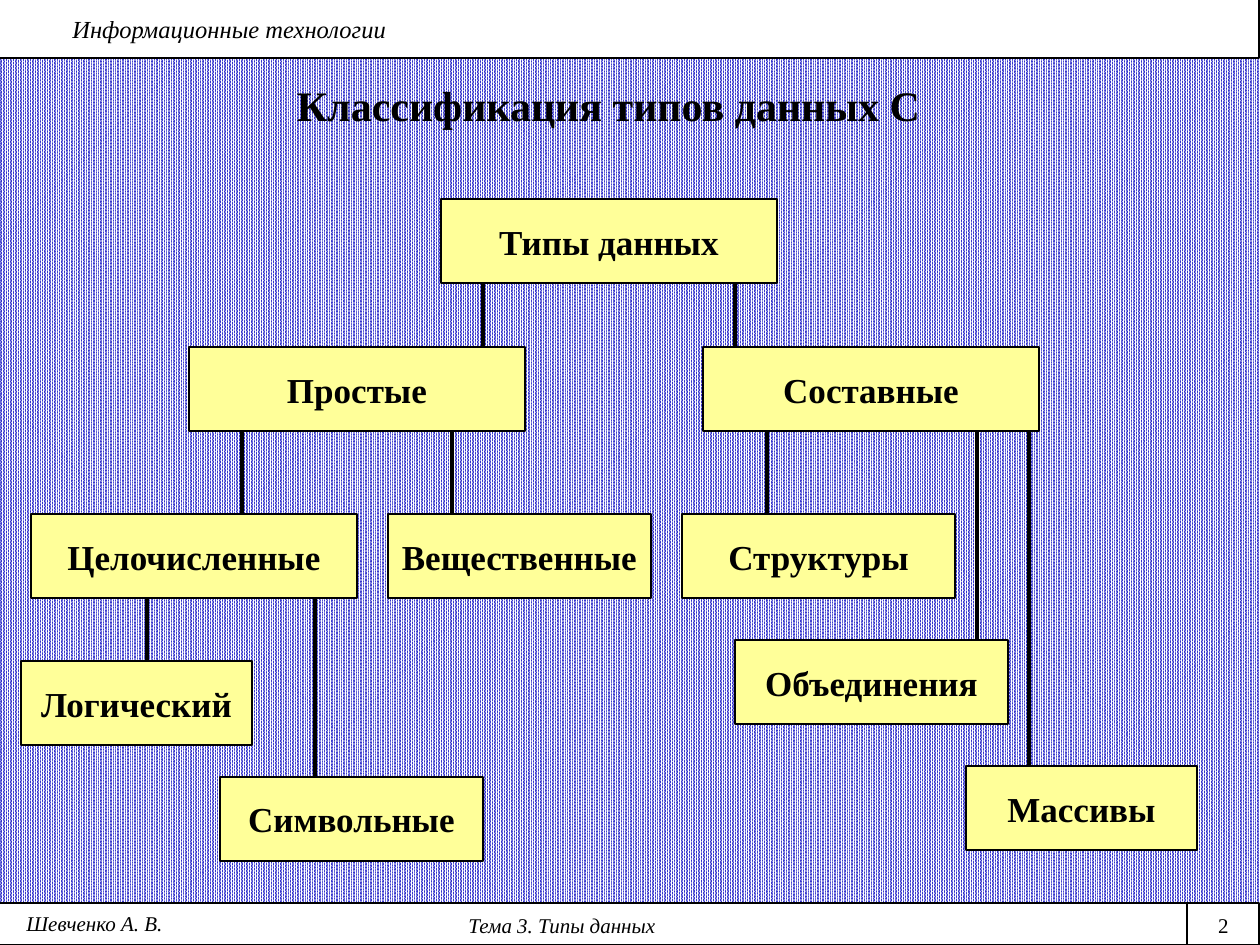
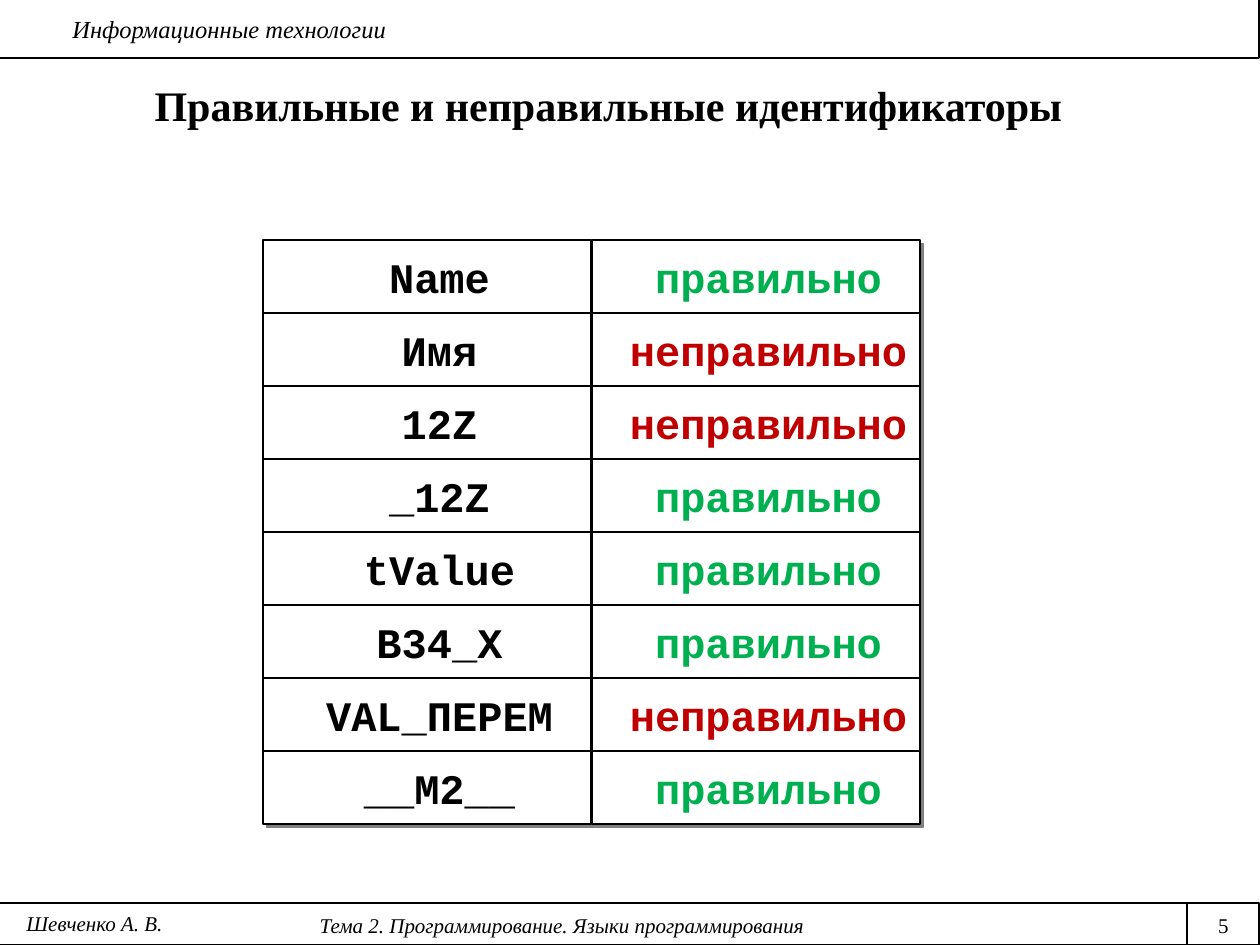
from lxml.etree import SubElement
from pptx import Presentation
from pptx.dml.color import RGBColor
from pptx.enum.dml import MSO_PATTERN
from pptx.enum.shapes import MSO_CONNECTOR as Connector, MSO_SHAPE as Shape
from pptx.enum.text import MSO_ANCHOR as Anchor, MSO_AUTO_SIZE as AutoSize, PP_ALIGN as Align
from pptx.oxml.ns import qn
from pptx.util import Emu, Pt

PX = 914400 / 126
SERIF, MONO = "Times New Roman", "Courier New"
BLACK, WHITE, YELLOW, BLUE = "000000", "FFFFFF", "FFFF99", "3333CC"
GREEN, RED, GREY = "00B050", "C00000", "808080"
BOX_HEIGHT = 84

TYPE_BOXES = {
    "Типы данных": (441, 199, 336),
    "Простые": (189, 347, 336),
    "Составные": (703, 347, 336),
    "Целочисленные": (31, 514, 326),
    "Вещественные": (388, 514, 263),
    "Структуры": (682, 514, 273),
    "Объединения": (735, 640, 273),
    "Массивы": (966, 766, 231),
    "Логический": (21, 661, 231),
    "Символьные": (220, 777, 263),
}
TYPE_LINKS = [
    ("Типы данных", "Простые", 483),
    ("Типы данных", "Составные", 735),
    ("Простые", "Целочисленные", 242),
    ("Простые", "Вещественные", 452),
    ("Составные", "Структуры", 767),
    ("Составные", "Объединения", 977),
    ("Составные", "Массивы", 1029),
    ("Целочисленные", "Логический", 147),
    ("Целочисленные", "Символьные", 315),
]
IDENTIFIERS = [
    ("Name", True), ("Имя", False), ("12Z", False), ("_12Z", True),
    ("tValue", True), ("B34_X", True), ("VAL_ПЕРЕМ", False), ("__M2__", True),
]


def px(*lengths):
    return [Emu(round(length * PX)) for length in lengths]


def color(value):
    return RGBColor.from_string(value)


def write(frame, text, size, font=SERIF, ink=BLACK, bold=False, italic=False, align=Align.CENTER):
    para = frame.paragraphs[0]
    para.alignment = align
    span = para.add_run()
    span.text = text
    span.font.name = font
    span.font.size = Pt(size)
    span.font.bold = bold
    span.font.italic = italic
    span.font.color.rgb = color(ink)


def add_label(page, area, text, size=12, italic=True, align=Align.CENTER):
    label = page.shapes.add_textbox(*px(*area))
    label.text_frame.word_wrap = True
    write(label.text_frame, text, size, italic=italic, align=align)


def add_box(page, area, fill=WHITE, line_width=1):
    box = page.shapes.add_shape(Shape.RECTANGLE, *px(*area))
    box.shadow.inherit = False
    box.fill.solid()
    box.fill.fore_color.rgb = color(fill)
    box.line.color.rgb = color(BLACK)
    box.line.width = Pt(line_width)
    return box


def add_text_box(page, area, text, size, left_margin=5, fill=WHITE, **style):
    box = add_box(page, area, fill)
    frame = box.text_frame
    frame.word_wrap = True
    frame.vertical_anchor = Anchor.MIDDLE
    frame.margin_left, frame.margin_right = px(left_margin, 5)
    write(frame, text, size, bold=True, **style)
    return box


def add_shadow(box):
    effects = box.element.spPr.find(qn("a:effectLst"))
    shadow = SubElement(effects, qn("a:outerShdw"), dist=str(Pt(2.8)), dir="2700000",
                        algn="ctr", rotWithShape="0")
    SubElement(shadow, qn("a:srgbClr"), val=GREY)


def add_vertical_line(page, x, top, bottom, width):
    line = page.shapes.add_connector(Connector.STRAIGHT, *px(x, top, x, bottom))
    line.line.color.rgb = color(BLACK)
    line.line.width = Pt(width)
    SubElement(line.element.spPr, qn("a:effectLst"))


def add_title(page, text):
    title = page.shapes.title
    title.left, title.top, title.width, title.height = px(31, 73, 1155, 63)
    frame = title.text_frame
    frame.word_wrap = True
    frame.auto_size = AutoSize.NONE
    frame.vertical_anchor = Anchor.MIDDLE
    write(frame, text, 24, bold=True)


def add_page(deck, title, topic, number):
    page = deck.slides.add_slide(deck.slide_layouts[0])
    subtitle = page.placeholders[1].element
    subtitle.getparent().remove(subtitle)
    add_box(page, (-1, 903, 1260, 42), line_width=0.75)
    add_box(page, (-1, -1, 1260, 59), line_width=0.75)
    add_label(page, (60, 8, 1187, 42), "Информационные технологии", 14, align=Align.LEFT)
    add_label(page, (0, 906, 1124, 38), topic)
    add_label(page, (1187, 906, 73, 38), number, italic=False)
    add_vertical_line(page, 1187, 903, 945, 0.75)
    add_title(page, title)
    add_label(page, (0, 904, 189, 38), "Шевченко А. В.")
    return page


def fill_background(page, pattern=None):
    fill = page.background.fill
    if pattern is None:
        fill.solid()
    else:
        fill.patterned()
        fill.pattern = pattern
        fill.back_color.rgb = color(BLUE)
    fill.fore_color.rgb = color(WHITE)


def add_type_tree(page):
    for parent, child, x in TYPE_LINKS:
        bottom = TYPE_BOXES[parent][1] + BOX_HEIGHT
        add_vertical_line(page, x, bottom, TYPE_BOXES[child][1], 2.25)
    for name, (left, top, width) in TYPE_BOXES.items():
        add_text_box(page, (left, top, width, BOX_HEIGHT), name, 20, fill=YELLOW)


def add_identifier_grid(page):
    left, top, width, pitch = 263, 240, 328, 73
    for row, (name, valid) in enumerate(IDENTIFIERS):
        verdict = ("правильно", GREEN) if valid else ("неправильно", RED)
        for column, (text, ink) in enumerate([(name, BLACK), verdict]):
            area = (left + column * (width + 1), top + row * pitch, width, pitch)
            add_shadow(add_text_box(page, area, text, 24, left_margin=30, font=MONO, ink=ink))


def main():
    deck = Presentation()
    deck.slide_width, deck.slide_height = px(1260, 945)

    types = add_page(deck, "Классификация типов данных С", "Тема 3. Типы данных", "2")
    fill_background(types, MSO_PATTERN.PERCENT_90)
    add_type_tree(types)

    identifiers = add_page(deck, "Правильные и неправильные идентификаторы",
                           "Тема 2. Программирование. Языки программирования", "5")
    fill_background(identifiers)
    add_identifier_grid(identifiers)

    deck.save("out.pptx")


if __name__ == "__main__":
    main()
